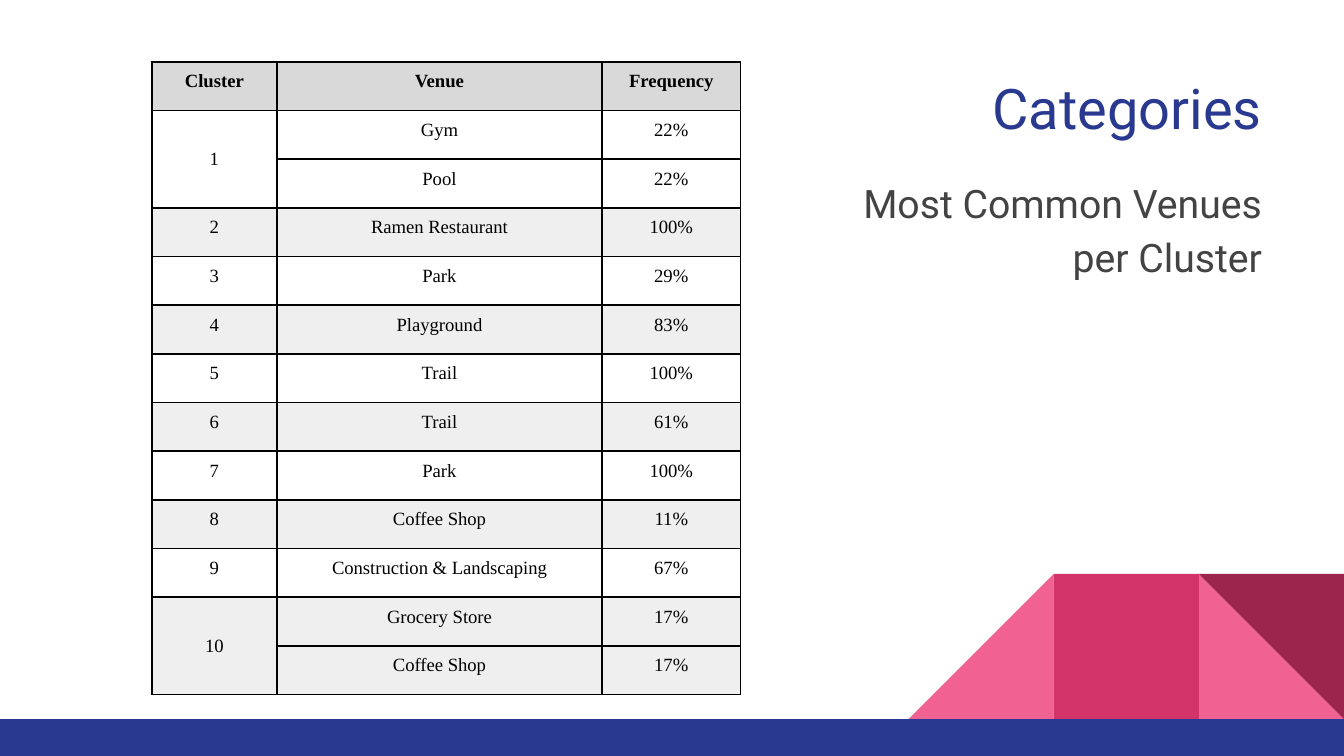
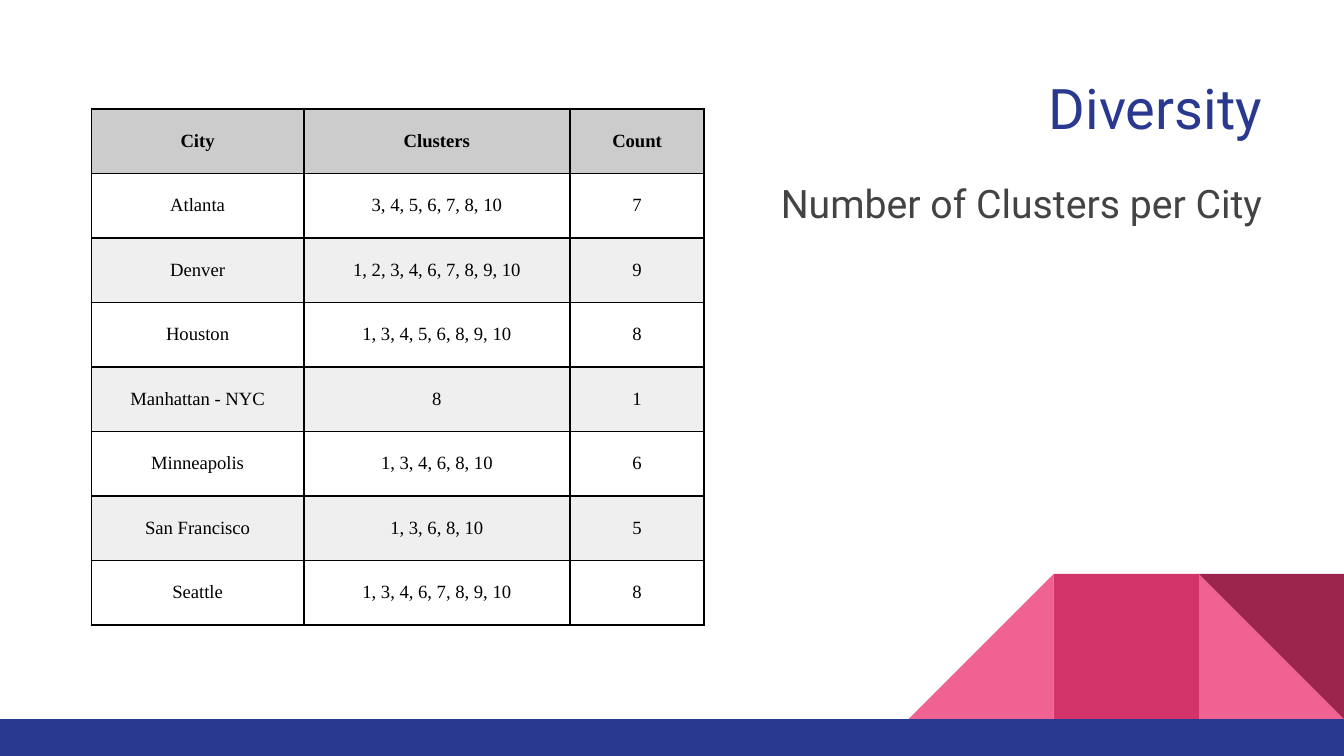
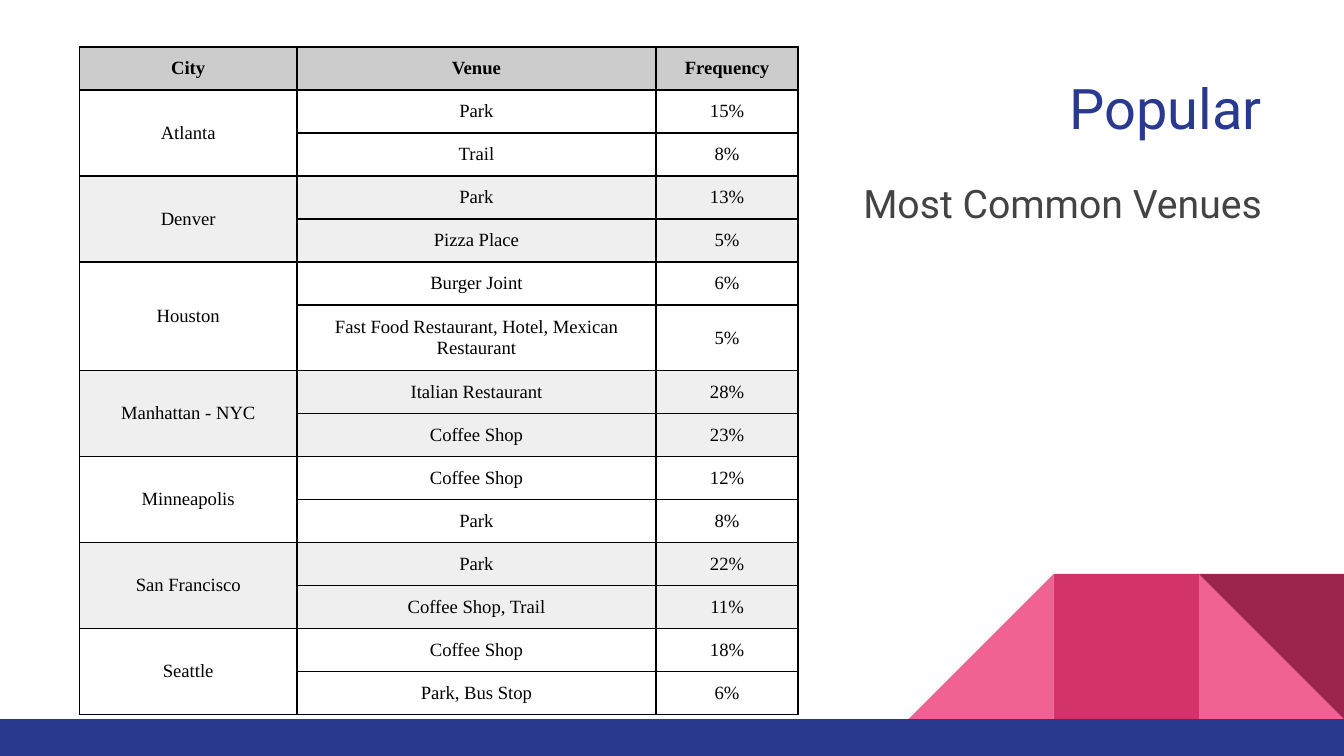
import pptx
import pptx.dml.color
import pptx.enum.shapes
import pptx.enum.text
import pptx.oxml
import pptx.oxml.ns
import pptx.util

Inches = pptx.util.Inches
Pt = pptx.util.Pt
RGBColor = pptx.dml.color.RGBColor
MSO_SHAPE = pptx.enum.shapes.MSO_SHAPE
ANCHOR = pptx.enum.text.MSO_ANCHOR
ALIGN = pptx.enum.text.PP_ALIGN

NAVY = RGBColor(0x2A, 0x39, 0x90)
GRAY_TEXT = RGBColor(0x43, 0x43, 0x43)
BLACK = RGBColor(0, 0, 0)
PINK = RGBColor(0xF0, 0x62, 0x92)
ROSE = RGBColor(0xD2, 0x33, 0x69)
MAROON = RGBColor(0x9C, 0x25, 0x4D)
HEADER_LIGHT = RGBColor(0xD9, 0xD9, 0xD9)
HEADER_DARK = RGBColor(0xCC, 0xCC, 0xCC)
STRIPE = RGBColor(0xEF, 0xEF, 0xEF)

SANS = "Roboto"
SERIF = "Times New Roman"
WIDTH = 10
HEIGHT = WIDTH * 9 / 16
BAND_TOP = 5.35
TILE = 1.08

CLUSTER_VENUES = [
    ("1", [("Gym", "22%"), ("Pool", "22%")]),
    ("2", [("Ramen Restaurant", "100%")]),
    ("3", [("Park", "29%")]),
    ("4", [("Playground", "83%")]),
    ("5", [("Trail", "100%")]),
    ("6", [("Trail", "61%")]),
    ("7", [("Park", "100%")]),
    ("8", [("Coffee Shop", "11%")]),
    ("9", [("Construction & Landscaping", "67%")]),
    ("10", [("Grocery Store", "17%"), ("Coffee Shop", "17%")]),
]
CITY_CLUSTERS = [
    ("Atlanta", [("3, 4, 5, 6, 7, 8, 10", "7")]),
    ("Denver", [("1, 2, 3, 4, 6, 7, 8, 9, 10", "9")]),
    ("Houston", [("1, 3, 4, 5, 6, 8, 9, 10", "8")]),
    ("Manhattan - NYC", [("8", "1")]),
    ("Minneapolis", [("1, 3, 4, 6, 8, 10", "6")]),
    ("San Francisco", [("1, 3, 6, 8, 10", "5")]),
    ("Seattle", [("1, 3, 4, 6, 7, 8, 9, 10", "8")]),
]
CITY_VENUES = [
    ("Atlanta", [("Park", "15%"), ("Trail", "8%")]),
    ("Denver", [("Park", "13%"), ("Pizza Place", "5%")]),
    ("Houston", [("Burger Joint", "6%"),
                 ("Fast Food Restaurant, Hotel, Mexican Restaurant", "5%")]),
    ("Manhattan - NYC", [("Italian Restaurant", "28%"), ("Coffee Shop", "23%")]),
    ("Minneapolis", [("Coffee Shop", "12%"), ("Park", "8%")]),
    ("San Francisco", [("Park", "22%"), ("Coffee Shop, Trail", "11%")]),
    ("Seattle", [("Coffee Shop", "18%"), ("Park, Bus Stop", "6%")]),
]


def write(tf, text, size, color, font=SANS, bold=False, align=ALIGN.RIGHT,
          spacing=None, after=None):
    """Put one formatted paragraph into a text frame."""
    p = tf.paragraphs[0]
    p.alignment = align
    p.line_spacing = spacing
    p.space_after = after
    r = p.add_run()
    r.text = text
    r.font.name = font
    r.font.size = Pt(size)
    r.font.bold = bold
    r.font.color.rgb = color


def set_frame(tf):
    """Give a text frame the shared insets, wrapping and anchor."""
    tf.word_wrap = True
    tf.auto_size = pptx.enum.text.MSO_AUTO_SIZE.NONE
    tf.vertical_anchor = ANCHOR.TOP
    tf.margin_left = tf.margin_right = Inches(0.1)
    tf.margin_top = tf.margin_bottom = Inches(0.1)


def add_block(shapes, kind, left, top, width, height, color, rotation=0):
    """Add a plain filled shape."""
    sp = shapes.add_shape(kind, Inches(left), Inches(top), Inches(width), Inches(height))
    sp.shadow.inherit = False
    sp.fill.solid()
    sp.fill.fore_color.rgb = color
    sp.line.fill.background()
    sp.rotation = rotation


def add_corner(slide, right, bottom):
    """Add the folded tiles that end at the given corner, and the footer band."""
    shapes = slide.shapes.add_group_shape().shapes
    tiles = [
        (MSO_SHAPE.RIGHT_TRIANGLE, 1, PINK, 0),
        (MSO_SHAPE.RIGHT_TRIANGLE, 3, PINK, 270),
        (MSO_SHAPE.RECTANGLE, 2, ROSE, 0),
        (MSO_SHAPE.RIGHT_TRIANGLE, 1, MAROON, 180),
    ]
    for kind, place, color, rotation in tiles:
        add_block(shapes, kind, right - place * TILE, bottom - TILE, TILE, TILE,
                  color, rotation)
    add_block(shapes, MSO_SHAPE.RECTANGLE, 0, bottom, right, HEIGHT - bottom, NAVY)


def add_heading(slide, title, subtitle, left, top, right, subtitle_width):
    """Add the title and the subtitle, both flush with the right edge."""
    sp = slide.shapes.title
    sp.left, sp.top = Inches(left), Inches(top)
    sp.width, sp.height = Inches(right - left), Inches(0.66)
    set_frame(sp.text_frame)
    write(sp.text_frame, title, 30, NAVY)
    sp = slide.shapes.add_textbox(Inches(right - subtitle_width), Inches(top + 0.73),
                                  Inches(subtitle_width), Inches(0.66))
    set_frame(sp.text_frame)
    write(sp.text_frame, subtitle, 21, GRAY_TEXT, spacing=1.15, after=Pt(16))


def format_cell(cell, fill, anchor):
    """Set the borders, insets, anchor and fill of a table cell."""
    tc_pr = cell._tc.get_or_add_tcPr()
    for side in ("lnL", "lnR", "lnT", "lnB"):
        tc_pr.append(pptx.oxml.parse_xml(
            f'<a:{side} {pptx.oxml.ns.nsdecls("a")} w="{Pt(1)}"><a:solidFill>'
            f'<a:srgbClr val="{BLACK}"/></a:solidFill></a:{side}>'))
    cell.margin_left = cell.margin_right = Inches(0.07)
    cell.margin_top = cell.margin_bottom = Inches(0.07)
    cell.vertical_anchor = anchor
    if fill is None:
        cell.fill.background()
    else:
        cell.fill.solid()
        cell.fill.fore_color.rgb = fill


def add_grouped_table(slide, left, top, widths, row_height, header, groups,
                      header_fill, anchor=ANCHOR.MIDDLE, tall_rows=()):
    """Add a table whose first column spans each group, with alternate groups shaded."""
    rows = [(header, header_fill, 1)]
    for i, (label, entries) in enumerate(groups):
        for j, entry in enumerate(entries):
            rows.append(((label if j == 0 else None, *entry),
                         STRIPE if i % 2 else None, len(entries) if j == 0 else 1))
    table = slide.shapes.add_table(len(rows), len(widths), Inches(left), Inches(top),
                                   Inches(sum(widths)), Inches(row_height * len(rows))).table
    table.first_row = table.horz_banding = False
    for column, width in zip(table.columns, widths):
        column.width = Inches(width)
    for y, (texts, fill, span) in enumerate(rows):
        table.rows[y].height = Inches(0.49 if y in tall_rows else row_height)
        for x, text in enumerate(texts):
            cell = table.cell(y, x)
            merged = x == 0 and span > 1
            format_cell(cell, fill, ANCHOR.MIDDLE if merged else anchor)
            if text is not None:
                write(cell.text_frame, text, 10, BLACK, font=SERIF, bold=y == 0,
                      align=ALIGN.CENTER)
            if merged:
                cell.merge(table.cell(y + span - 1, 0))


def add_table_slide(prs, title, subtitle, subtitle_width, **table):
    """Add a slide with a table on the left and a heading on the right."""
    slide = prs.slides.add_slide(prs.slide_layouts[5])
    add_corner(slide, WIDTH, BAND_TOP)
    add_heading(slide, title, subtitle, 0.17, 0.45, 9.49, subtitle_width)
    add_grouped_table(slide, **table)


def main():
    """Build and save the presentation."""
    prs = pptx.Presentation()
    prs.slide_width, prs.slide_height = Inches(WIDTH), Inches(HEIGHT)
    add_table_slide(prs, "Categories", "Most Common Venues per Cluster", 3.23,
                    left=1.13, top=0.46, widths=(0.93, 2.42, 1.03), row_height=4.71 / 13,
                    header=("Cluster", "Venue", "Frequency"), groups=CLUSTER_VENUES,
                    header_fill=HEADER_LIGHT, anchor=ANCHOR.TOP)
    add_table_slide(prs, "Diversity", "Number of Clusters per City", 3.87,
                    left=0.68, top=0.81, widths=(1.58, 1.98, 1), row_height=0.48,
                    header=("City", "Clusters", "Count"), groups=CITY_CLUSTERS,
                    header_fill=HEADER_DARK)
    add_table_slide(prs, "Popular", "Most Common Venues", 3.87,
                    left=0.59, top=0.35, widths=(1.62, 2.67, 1.06), row_height=0.32,
                    header=("City", "Venue", "Frequency"), groups=CITY_VENUES,
                    header_fill=HEADER_DARK, tall_rows=(6,))
    prs.save("out.pptx")


if __name__ == "__main__":
    main()
